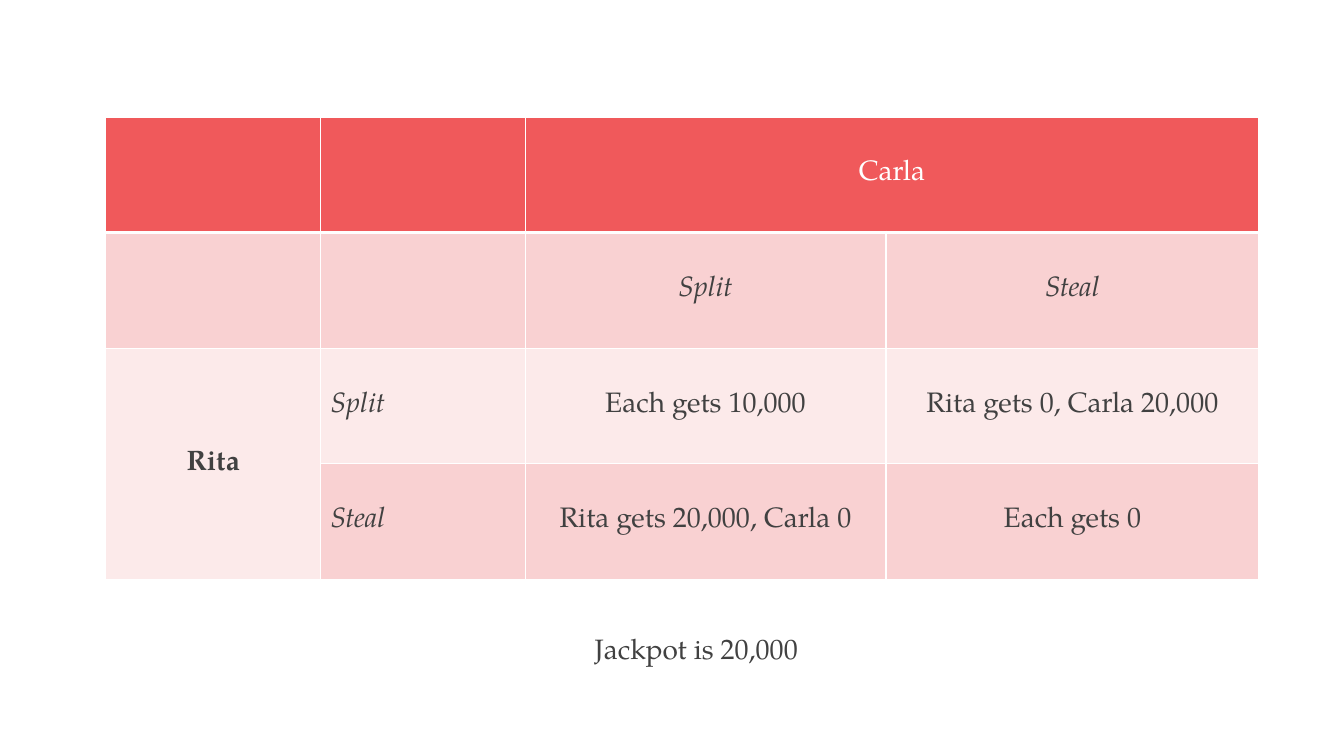
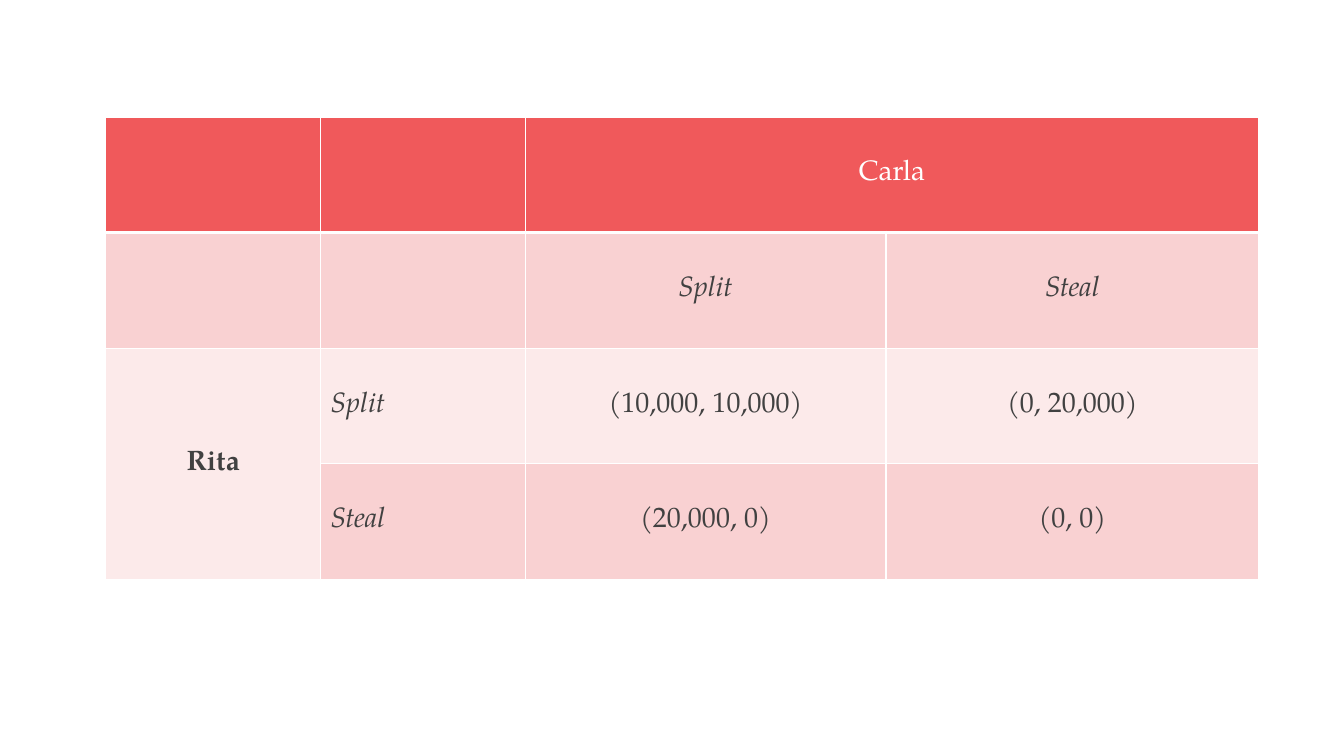
from lxml.etree import SubElement
from pptx import Presentation
from pptx.dml.color import RGBColor
from pptx.enum.text import MSO_ANCHOR as Anchor, PP_ALIGN as Align
from pptx.oxml.ns import qn
from pptx.util import Pt

COLORS = {
    "header": "F0595B",
    "band_dark": "F9D1D2",
    "band_light": "FCEAEA",
    "grid": "FFFFFF",
    "header_text": "FFFFFF",
    "text": "414141",
}
FONT = "TeX Gyre Pagella"
FONT_SIZE = 20
TABLE_LEFT, TABLE_TOP = 75.6, 83.5
COLUMN_WIDTHS = [153.4, 146.1, 257.8, 266.4]
ROW_HEIGHT = 82.6
ROW_FILLS = ["header", "band_dark", "band_light", "band_dark"]
CHOICES = ["Split", "Steal"]

# Payoffs: one row per choice of Rita, one column per choice of Carla
GAMES = [
    {
        "payoffs": [
            ["Each gets 10,000", "Rita gets 0, Carla 20,000"],
            ["Rita gets 20,000, Carla 0", "Each gets 0"],
        ],
        "caption": "Jackpot is 20,000",
    },
    {
        "payoffs": [
            ["(10,000, 10,000)", "(0, 20,000)"],
            ["(20,000, 0)", "(0, 0)"],
        ],
        "caption": None,
    },
]


def write(frame, text, color="text", align=Align.CENTER, bold=False, italic=False):
    paragraph = frame.paragraphs[0]
    paragraph.alignment = align
    run = paragraph.add_run()
    run.text = text
    font = run.font
    font.name, font.size = FONT, Pt(FONT_SIZE)
    font.bold, font.italic = bold, italic
    font.color.rgb = RGBColor.from_string(COLORS[color])


def style_cell(cell, fill, bottom_width):
    """Set the fill, the anchor and the four borders of a table cell."""
    cell.vertical_anchor = Anchor.MIDDLE
    properties = cell._tc.get_or_add_tcPr()
    for side, width in [("L", 1), ("R", 1), ("T", 1), ("B", bottom_width)]:
        border = SubElement(properties, qn(f"a:ln{side}"), w=str(Pt(width)))
        solid = SubElement(border, qn("a:solidFill"))
        SubElement(solid, qn("a:srgbClr"), val=COLORS["grid"])
    cell.fill.solid()
    cell.fill.fore_color.rgb = RGBColor.from_string(COLORS[fill])


prs = Presentation()
prs.slide_width, prs.slide_height = Pt(960), Pt(540)
blank = prs.slide_layouts[6]

for game in GAMES:
    slide = prs.slides.add_slide(blank)
    matrix = slide.shapes.add_table(
        len(ROW_FILLS), len(COLUMN_WIDTHS), Pt(TABLE_LEFT), Pt(TABLE_TOP),
        Pt(sum(COLUMN_WIDTHS)), Pt(ROW_HEIGHT * len(ROW_FILLS)),
    ).table
    for column, width in zip(matrix.columns, COLUMN_WIDTHS):
        column.width = Pt(width)
    for r, fill in enumerate(ROW_FILLS):
        matrix.rows[r].height = Pt(ROW_HEIGHT)
        for c in range(len(COLUMN_WIDTHS)):
            style_cell(matrix.cell(r, c), fill, 3 if r == 0 else 1)

    carla, rita = matrix.cell(0, 2), matrix.cell(2, 0)
    carla.merge(matrix.cell(0, 3))
    rita.merge(matrix.cell(3, 0))
    write(carla.text_frame, "Carla", color="header_text")
    write(rita.text_frame, "Rita", bold=True)

    for i, choice in enumerate(CHOICES, start=2):
        write(matrix.cell(1, i).text_frame, choice, italic=True)
        write(matrix.cell(i, 1).text_frame, choice, align=Align.LEFT, italic=True)
    for r, payoff_row in enumerate(game["payoffs"], start=2):
        for c, payoff in enumerate(payoff_row, start=2):
            write(matrix.cell(r, c).text_frame, payoff)

    if game["caption"]:
        caption = slide.shapes.add_textbox(Pt(417.6), Pt(447.8), Pt(163.4), Pt(31.7))
        caption.text_frame.word_wrap = False
        write(caption.text_frame, game["caption"], align=Align.LEFT)

prs.save("out.pptx")
